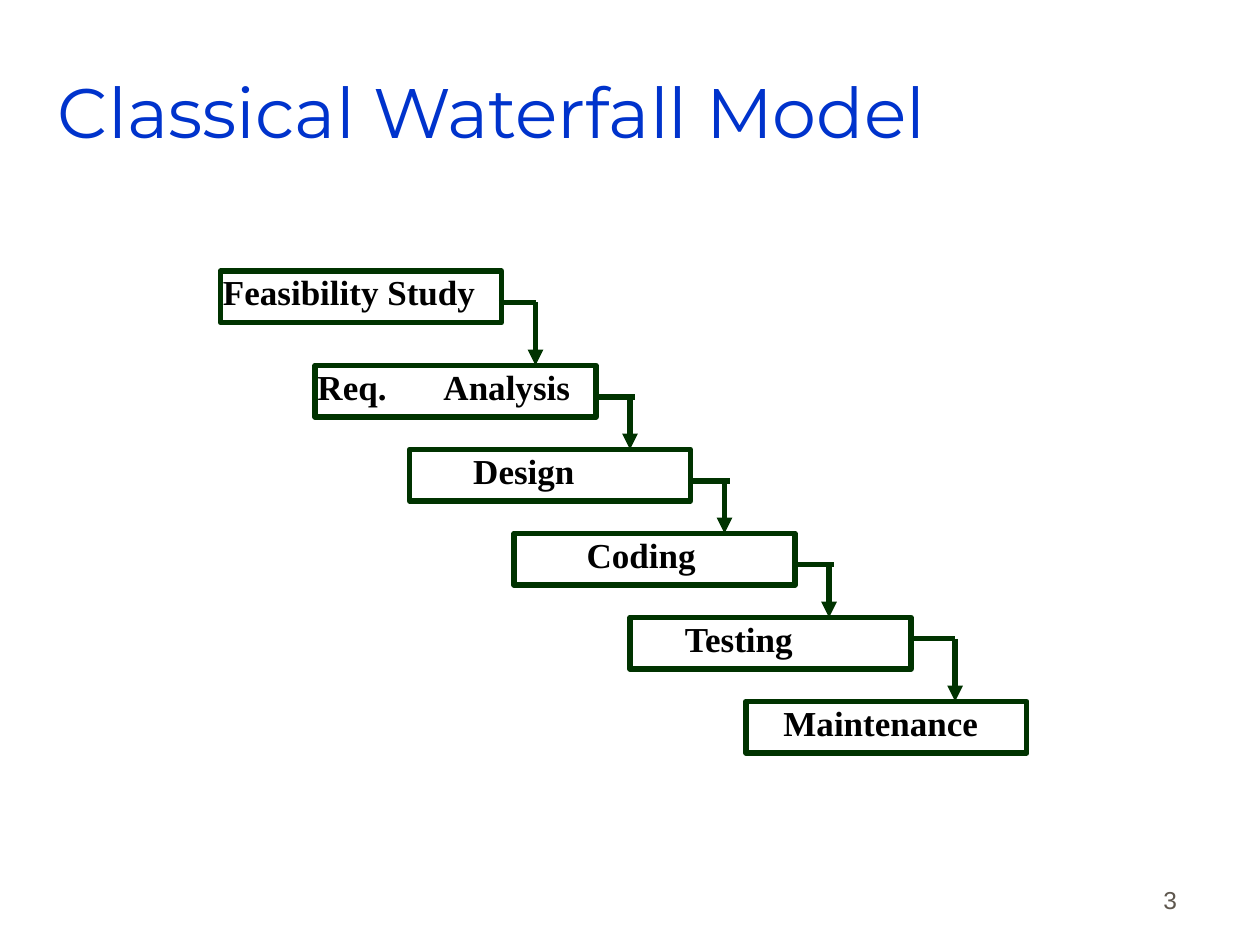
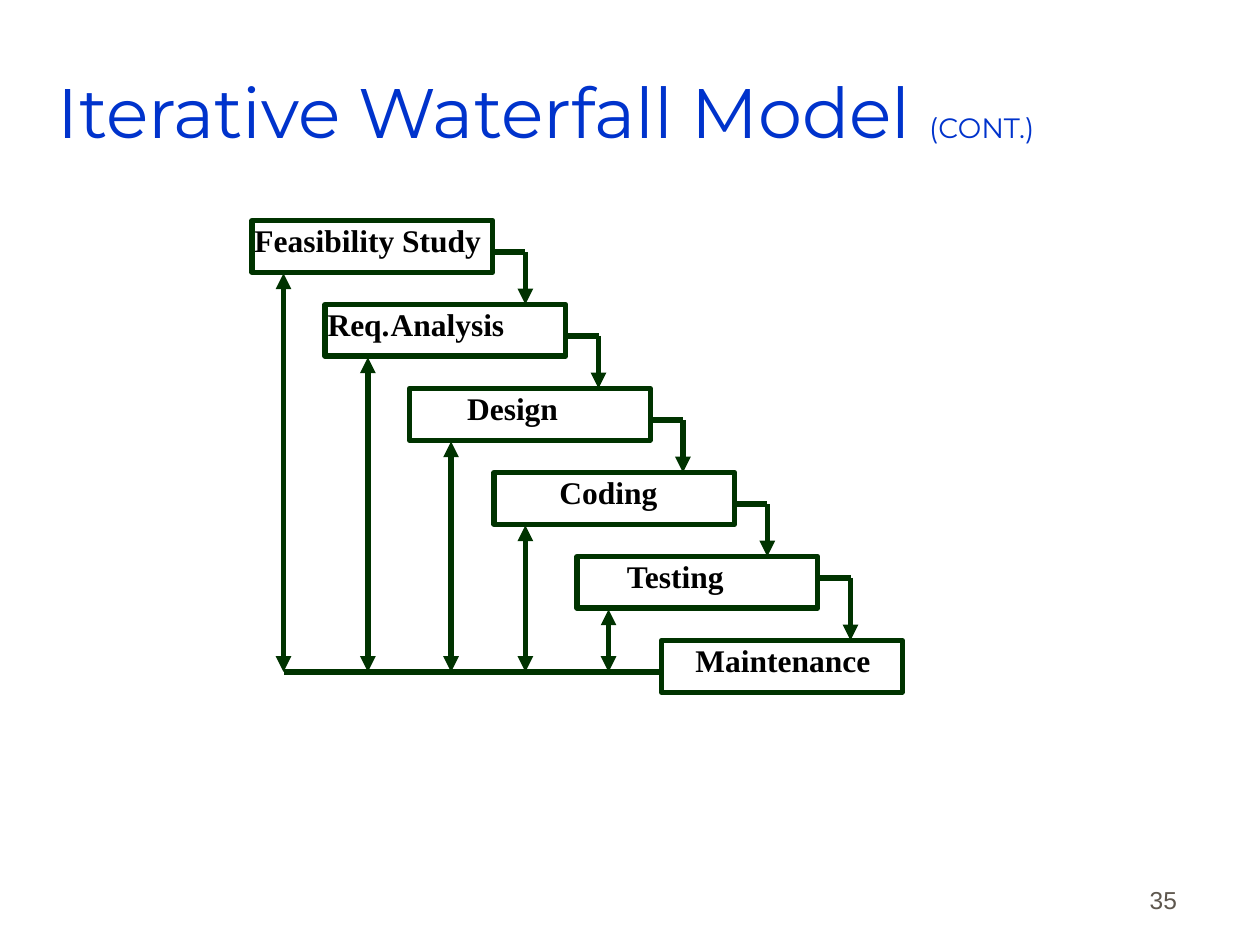
from dataclasses import dataclass

from lxml import etree
from pptx import Presentation
from pptx.dml.color import RGBColor
from pptx.enum import shapes, text
from pptx.oxml import ns
from pptx.util import Inches, Pt


@dataclass(frozen=True)
class Theme:
    title_color: RGBColor = RGBColor(0x00, 0x33, 0xCC)
    line_color: RGBColor = RGBColor(0x00, 0x33, 0x00)
    number_color: RGBColor = RGBColor(0x5E, 0x57, 0x4E)
    phase_color: RGBColor = RGBColor(0x00, 0x00, 0x00)
    title_font: str = "Montserrat"
    phase_font: str = "Times New Roman"
    number_font: str = "Arial"
    title_size: int = 40
    suffix_size: int = 16
    number_size: int = 14
    line_width: int = 3


THEME = Theme()
PHASE_HEIGHT = 0.41
ROW_STEP = 2 / 3
SPACE_EM = 0.25
REQ_TAB_EM = 2.72

# Phase name and its indent, counted in word spaces
PHASES = [
    ("Feasibility Study", 0),
    ("Req.\tAnalysis", 0),
    ("Design", 7),
    ("Coding", 8),
    ("Testing", 6),
    ("Maintenance", 4),
]


@dataclass(frozen=True)
class Cascade:
    """Staircase of phases; reaches and drops are measured from a phase's left and top."""
    lefts: list
    tops: list
    width: float
    text_width: float
    text_size: int
    exits: list
    elbows: list
    overshoots: list
    exit_drops: list


CLASSICAL = Cascade(
    lefts=[1.75, 2.5, 3.25, 4.08, 5, 5.92],
    tops=[2.15] + [2.9 + ROW_STEP * row for row in range(5)],
    width=2.23, text_width=2.33, text_size=20,
    exits=[2.21] + [2.25] * 4,
    elbows=[2.5] * 4 + [2.58],
    overshoots=[0, 0.04, 0.04, 0.04, 0],
    exit_drops=[0.25] * 4 + [0.17],
)
ITERATIVE = Cascade(
    lefts=[2, 2.58, 3.25, 3.92, 4.58, 5.25],
    tops=[1.75 + ROW_STEP * row for row in range(6)],
    width=1.91, text_width=2, text_size=18,
    exits=[1.92] * 5,
    elbows=[2.17] * 5,
    overshoots=[0] * 5,
    exit_drops=[0.25] * 4 + [0.17],
)
FEEDBACK_COLUMNS = [2.25, 2.92, 3.58, 4.17, 4.83]


def add_text(page, left, top, width, height, anchor, side_inset):
    """Add a wrapping text box and return its first paragraph."""
    box = page.shapes.add_textbox(Inches(left), Inches(top), Inches(width), Inches(height))
    frame = box.text_frame
    frame.word_wrap = True
    frame.vertical_anchor = anchor
    frame.margin_left = frame.margin_right = Inches(side_inset)
    frame.margin_top = frame.margin_bottom = Inches(0.05)
    return frame.paragraphs[0]


def add_span(para, words, font, size, color, bold=False):
    span = para.add_run()
    span.text = words
    span.font.name = font
    span.font.size = Pt(size)
    span.font.color.rgb = color
    span.font.bold = bold


def add_title(page, title, suffix=""):
    para = add_text(page, 0.44, 0.25, 8.5, 1.25, text.MSO_ANCHOR.MIDDLE, 0.02)
    para.space_before = Pt(10)
    add_span(para, title, THEME.title_font, THEME.title_size, THEME.title_color)
    if suffix:
        add_span(para, suffix, THEME.title_font, THEME.suffix_size, THEME.title_color)


def add_page_number(page, number):
    para = add_text(page, 7.36, 6.81, 2.08, 0.5, text.MSO_ANCHOR.BOTTOM, 0.1)
    para.alignment = text.PP_ALIGN.RIGHT
    para.space_before = Pt(8.8)
    add_span(para, str(number), THEME.number_font, THEME.number_size, THEME.number_color)


def style_line(line):
    line.color.rgb = THEME.line_color
    line.width = Pt(THEME.line_width)


def add_line(page, start, end, arrows=()):
    """Draw a straight line; arrows names its pointed ends, headEnd before tailEnd."""
    points = [Inches(value) for value in (*start, *end)]
    connector = page.shapes.add_connector(shapes.MSO_CONNECTOR.STRAIGHT, *points)
    style_line(connector.line)
    outline = connector.line._get_or_add_ln()
    for arrow in arrows:
        etree.SubElement(outline, ns.qn(f"a:{arrow}"), type="triangle")
    etree.SubElement(connector._element.spPr, ns.qn("a:effectLst"))


def add_phase(page, cascade, index):
    name, indent = PHASES[index]
    left, top = cascade.lefts[index], cascade.tops[index]
    size = cascade.text_size

    para = add_text(page, left, top, cascade.text_width, 0.43, text.MSO_ANCHOR.TOP, 0.02)
    para.line_spacing = 0.85
    para.space_before = Pt(size * 0.575)
    properties = para._p.get_or_add_pPr()
    properties.set("marL", str(Pt(indent * SPACE_EM * size)))
    properties.set("indent", "0")
    if "\t" in name:
        stops = etree.SubElement(properties, ns.qn("a:tabLst"))
        etree.SubElement(stops, ns.qn("a:tab"), pos=str(Pt(REQ_TAB_EM * size)), algn="l")
    add_span(para, name, THEME.phase_font, size, THEME.phase_color, bold=True)

    border = page.shapes.add_shape(
        shapes.MSO_SHAPE.ROUNDED_RECTANGLE,
        Inches(left), Inches(top), Inches(cascade.width), Inches(PHASE_HEIGHT))
    border.adjustments[0] = 0
    border.shadow.inherit = False
    border.fill.background()
    style_line(border.line)


def add_cascade(page, cascade):
    for index in range(len(PHASES)):
        add_phase(page, cascade, index)
    steps = zip(cascade.lefts, cascade.tops, cascade.tops[1:], cascade.exits,
                cascade.elbows, cascade.overshoots, cascade.exit_drops)
    for left, top, next_top, exit_x, elbow, overshoot, drop in steps:
        turn, level = left + elbow, top + drop
        add_line(page, (left + exit_x, level), (turn + overshoot, level))
        add_line(page, (turn, level), (turn, next_top), ["tailEnd"])


def add_feedback(page, cascade):
    """Join the last phase back to every earlier one."""
    base = cascade.tops[-1] + 0.25
    add_line(page, (cascade.lefts[-1], base), (FEEDBACK_COLUMNS[0], base))
    for column, top in zip(FEEDBACK_COLUMNS, cascade.tops):
        add_line(page, (column, base), (column, top + 0.42), ["headEnd", "tailEnd"])


def add_page(deck, number, title, suffix=""):
    page = deck.slides.add_slide(deck.slide_layouts[6])
    add_page_number(page, number)
    add_title(page, title, suffix)
    return page


def main():
    deck = Presentation()
    deck.slide_width, deck.slide_height = Inches(10), Inches(7.5)

    classical = add_page(deck, 3, "Classical Waterfall Model")
    add_cascade(classical, CLASSICAL)

    iterative = add_page(deck, 35, "Iterative Waterfall Model ", "(CONT.)")
    add_cascade(iterative, ITERATIVE)
    add_feedback(iterative, ITERATIVE)

    deck.save("out.pptx")


if __name__ == "__main__":
    main()
